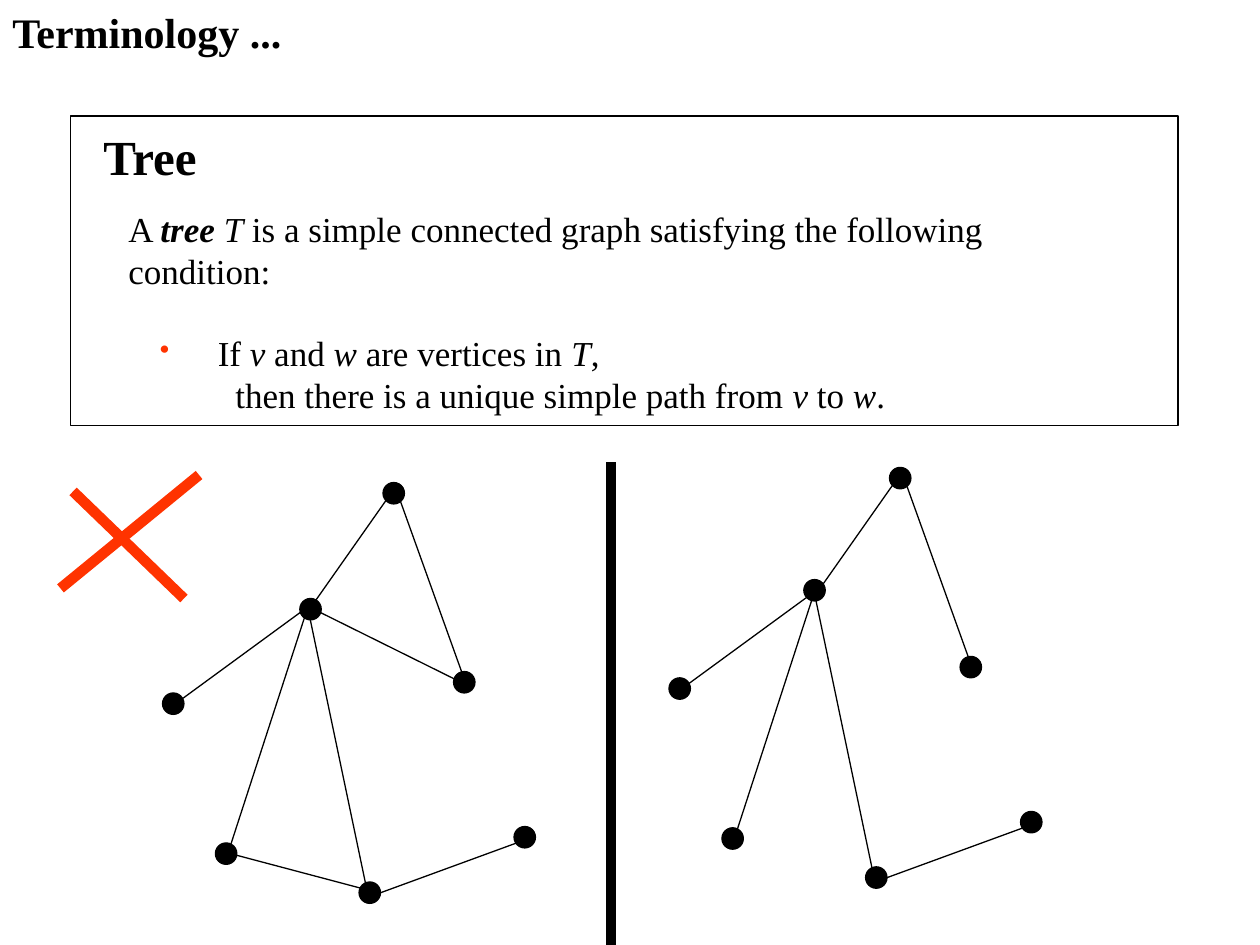
import pptx
import pptx.util
import pptx.dml.color
import pptx.enum.shapes
import pptx.enum.text
import pptx.oxml.ns
from lxml import etree

FONT = "Times New Roman"
BLACK, RED = "000000", "FF3300"
THIN, THICK = 0.75, 6
DOT = 0.17

# Content: each run is (text, style letters), b = bold, i = italic
TITLE = [[("Terminology ...", "b")]]
HEADING = [[("Tree", "b")]]
DEFINITION = [
    [("A ", ""), ("tree ", "bi"), ("T", "i"),
     (" is a simple connected graph satisfying the following condition:", "")],
    [("If ", ""), ("v", "i"), (" and ", ""), ("w", "i"),
     (" are vertices in ", ""), ("T", "i"), (",", "")],
    [("then there is a unique simple path from ", ""), ("v", "i"),
     (" to ", ""), ("w", "i"), (".", "")],
]
# Left margin, first-line indent (inches), space before (points), bullet
DEFINITION_LAYOUT = [(0, 0, 0, None), (0.71, -0.46, 23, "•"), (0.85, 0, 0, None)]

# Vertices (left, top) and edges (x1, y1, x2, y2) shared by both graphs
VERTICES = [(1.29, 5.5), (3.04, 3.83), (3.6, 5.33), (1.71, 6.69), (2.85, 7), (4.08, 6.56)]
TREE_EDGES = [
    (1.4, 5.58, 2.48, 4.79), (2.46, 4.83, 3.1, 3.92), (2.98, 7.1, 4.21, 6.65),
    (2.44, 4.83, 1.81, 6.77), (2.44, 4.81, 2.92, 7.1), (3.15, 3.9, 3.71, 5.46),
]
CYCLE_EDGES = [(1.81, 6.77, 2.98, 7.08), (2.48, 4.83, 3.75, 5.46)]
# Offset of the graph, its hub vertex, its edges
GRAPHS = [
    ((0, 0), (2.38, 4.75), TREE_EDGES + CYCLE_EDGES),
    ((4.02, -0.12), (2.36, 4.72), TREE_EDGES),
]
DIVIDER = (4.85, 3.67, 4.85, 7.5)
CROSS = [(0.58, 3.9, 1.46, 4.75), (0.48, 4.67, 1.58, 3.77)]

presentation = pptx.Presentation()
presentation.slide_width = pptx.util.Inches(10)
presentation.slide_height = pptx.util.Inches(7.5)
slide = presentation.slides.add_slide(presentation.slide_layouts[6])


def inches(*values):
    return [pptx.util.Inches(value) for value in values]


def color(value):
    return pptx.dml.color.RGBColor.from_string(value)


def add_bullet(properties, character):
    bullet_color = etree.SubElement(properties, pptx.oxml.ns.qn("a:buClr"))
    etree.SubElement(bullet_color, pptx.oxml.ns.qn("a:srgbClr"), val=RED)
    etree.SubElement(properties, pptx.oxml.ns.qn("a:buSzPct"), val="80000")
    etree.SubElement(properties, pptx.oxml.ns.qn("a:buChar"), char=character)


def add_text(paragraphs, box, size, wrap=False, middle=False, centered=False, layout=None):
    frame = slide.shapes.add_textbox(*inches(*box)).text_frame
    frame.word_wrap = wrap
    if middle:
        frame.vertical_anchor = pptx.enum.text.MSO_ANCHOR.MIDDLE
    for index, runs in enumerate(paragraphs):
        paragraph = frame.paragraphs[0] if index == 0 else frame.add_paragraph()
        if centered:
            paragraph.alignment = pptx.enum.text.PP_ALIGN.CENTER
        if layout:
            margin, indent, before, bullet = layout[index]
            properties = paragraph._p.get_or_add_pPr()
            properties.set("marL", str(pptx.util.Inches(margin)))
            properties.set("indent", str(pptx.util.Inches(indent)))
            if before:
                paragraph.space_before = pptx.util.Pt(before)
            if bullet:
                add_bullet(properties, bullet)
        for text, style in runs:
            run = paragraph.add_run()
            run.text = text
            run.font.name = FONT
            run.font.size = pptx.util.Pt(size)
            run.font.bold = "b" in style
            run.font.italic = "i" in style
            run.font.color.rgb = color(BLACK)


def add_shape(kind, box, fill=None):
    shape = slide.shapes.add_shape(kind, *inches(*box))
    shape.shadow.inherit = False
    if fill:
        shape.fill.solid()
        shape.fill.fore_color.rgb = color(fill)
    else:
        shape.fill.background()
    shape.line.color.rgb = color(BLACK)
    shape.line.width = pptx.util.Pt(THIN)


def add_line(ends, width=THIN, line_color=BLACK):
    line = slide.shapes.add_connector(
        pptx.enum.shapes.MSO_CONNECTOR.STRAIGHT, *inches(*ends))
    line.line.color.rgb = color(line_color)
    line.line.width = pptx.util.Pt(width)
    etree.SubElement(line._element.spPr, pptx.oxml.ns.qn("a:effectLst"))


# Title and framed definition
add_text(TITLE, (0, 0, 2.37, 0.5), 24)
add_text(HEADING, (0.7, 0.95, 0.98, 0.57), 28, middle=True, centered=True)
add_shape(pptx.enum.shapes.MSO_SHAPE.RECTANGLE, (0.56, 0.92, 8.79, 2.46))
add_text(DEFINITION, (0.92, 1.76, 8.15, 1.43), 20, wrap=True, middle=True,
         layout=DEFINITION_LAYOUT)

# Graph with cycles on the left, tree on the right
for (dx, dy), hub, edges in GRAPHS:
    for x, y in VERTICES + [hub]:
        add_shape(pptx.enum.shapes.MSO_SHAPE.OVAL, (x + dx, y + dy, DOT, DOT), fill=BLACK)
    for x1, y1, x2, y2 in edges:
        add_line((x1 + dx, y1 + dy, x2 + dx, y2 + dy))

# Divider and red cross
add_line(DIVIDER, THICK)
for stroke in CROSS:
    add_line(stroke, THICK, RED)

presentation.save("out.pptx")
